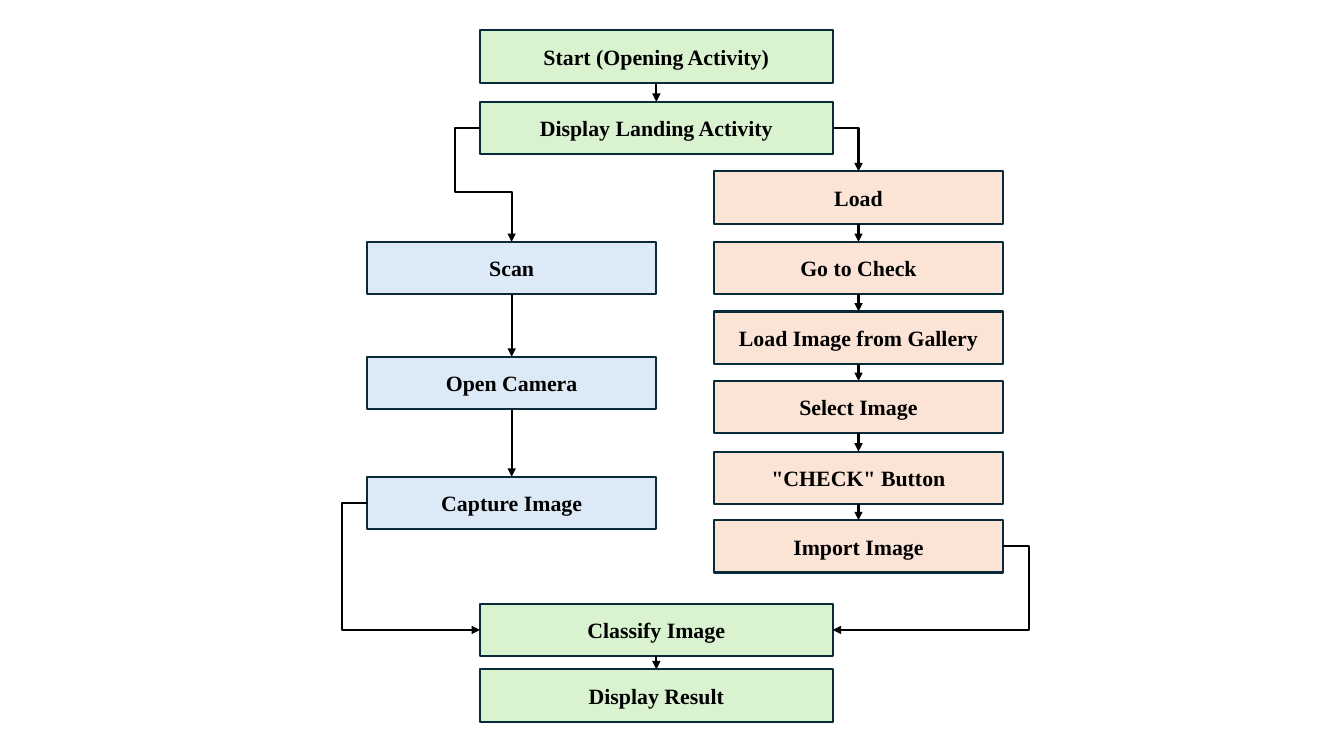
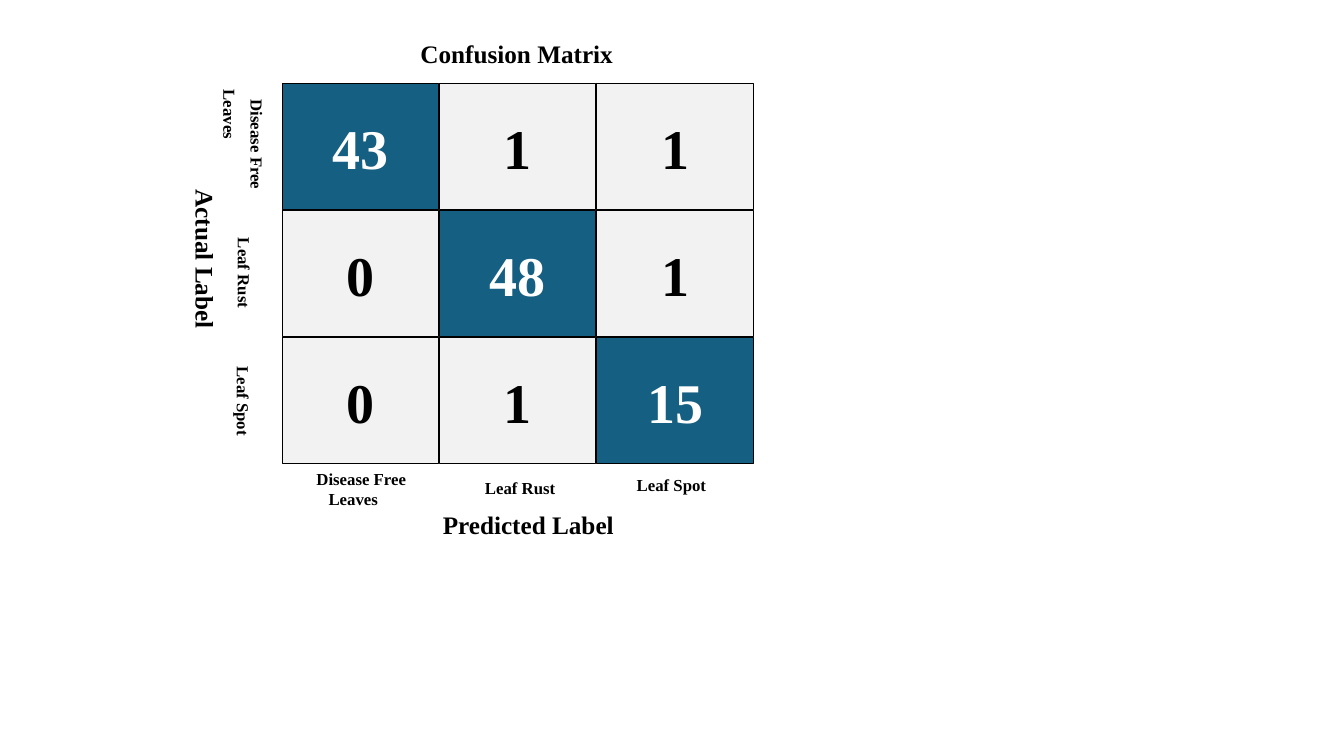
"""Build a flow chart slide and a confusion matrix slide."""
from dataclasses import dataclass
from typing import Any

import lxml.etree
import pptx
import pptx.dml.color
import pptx.enum.shapes
import pptx.enum.text
import pptx.oxml.ns
import pptx.util

Inches = pptx.util.Inches
Pt = pptx.util.Pt
RGB = pptx.dml.color.RGBColor
ALIGN = pptx.enum.text.PP_ALIGN
ANCHOR = pptx.enum.text.MSO_ANCHOR
LINK = pptx.enum.shapes.MSO_CONNECTOR
RECT = pptx.enum.shapes.MSO_SHAPE.RECTANGLE
qn = pptx.oxml.ns.qn

BLACK = RGB(0x00, 0x00, 0x00)
WHITE = RGB(0xFF, 0xFF, 0xFF)
NAVY = RGB(0x09, 0x2A, 0x39)
GREEN = RGB(0xD9, 0xF2, 0xD0)
PEACH = RGB(0xFB, 0xE3, 0xD6)
BLUE = RGB(0xDC, 0xEA, 0xF7)
TEAL = RGB(0x15, 0x60, 0x82)
GREY = RGB(0xF2, 0xF2, 0xF2)

FONT = {"name": "Times New Roman", "bold": True}
TOP, LEFT, BOTTOM, RIGHT = range(4)
STEP_H = 0.52


@dataclass(frozen=True)
class Lane:
    """A column of steps joined from top to bottom."""
    left: float
    width: float
    fill: RGB
    steps: tuple[tuple[float, str], ...]


@dataclass(frozen=True)
class Bend:
    """An elbow arrow between the sides of two steps."""
    start: str
    side: int
    end: str
    goal: int
    shape: str
    bends: tuple[float, ...] = ()


@dataclass(frozen=True)
class Label:
    """A text box, turned or level, with optional line indents."""
    text: str
    left: float
    top: float
    width: float
    height: float
    size: int = 12
    turn: int = 0
    align: Any = ALIGN.CENTER
    margin: float = 0
    indent: float = 0
    space: float = 1.0


LANES = (
    Lane(4.76, 3.5, GREEN, ((0.3, "Start (Opening Activity)"), (1.01, "Display Landing Activity"))),
    Lane(3.64, 2.87, BLUE, ((2.4, "Scan"), (3.54, "Open Camera"), (4.73, "Capture Image"))),
    Lane(7.08, 2.87, PEACH, (
        (1.7, "Load"), (2.4, "Go to Check"), (3.09, "Load Image from Gallery"),
        (3.78, "Select Image"), (4.48, '"CHECK" Button'), (5.16, "Import Image"))),
    Lane(4.76, 3.5, GREEN, ((5.99, "Classify Image"), (6.64, "Display Result"))),
)
BENDS = (
    Bend("Display Landing Activity", LEFT, "Scan", TOP, "bentConnector4", (-0.79, 0.56)),
    Bend("Display Landing Activity", RIGHT, "Load", TOP, "bentConnector2"),
    Bend("Capture Image", LEFT, "Classify Image", LEFT, "bentConnector3", (-0.22,)),
    Bend("Import Image", RIGHT, "Classify Image", RIGHT, "bentConnector3", (-0.15,)),
)
SCORES = ((43, 1, 1), (0, 48, 1), (0, 1, 15))
LABELS = (
    Label("Disease Free Leaves", 1.79, 1.2, 1.39, 0.57, turn=90, align=ALIGN.LEFT,
          indent=0.1, space=1.35),
    Label("Leaf Rust", 1.73, 2.56, 1.39, 0.3, turn=90),
    Label("Leaf Spot", 1.72, 3.83, 1.39, 0.3, turn=90),
    Label("Actual Label", 1.24, 2.37, 1.6, 0.4, 18, 90),
    Label("Disease Free Leaves", 3.04, 4.6, 1.39, 0.5, align=ALIGN.LEFT,
          margin=0.12, indent=-0.12),
    Label("Leaf Rust", 4.58, 4.69, 1.16, 0.3),
    Label("Leaf Spot", 6.08, 4.66, 1.16, 0.3),
    Label("Predicted Label", 4.28, 5, 1.92, 0.4, 18),
)
TITLE = Label("Confusion Matrix", 4.06, 0.33, 2.13, 0.4, 18)


def apply(item: Any, values: dict[str, Any]) -> None:
    """Set each named value on the item."""
    for name, value in values.items():
        setattr(item, name, value)


def write(shape: Any, text: str, size: float, color: RGB, anchor: Any) -> Any:
    """Put styled, centred text in a shape and return its paragraph."""
    frame = shape.text_frame
    apply(frame, {"text": text, "word_wrap": True, "vertical_anchor": anchor})
    para = frame.paragraphs[0]
    para.alignment = ALIGN.CENTER
    font = para.runs[0].font
    apply(font, FONT | {"size": Pt(size)})
    font.color.rgb = color
    return para


def add_box(slide: Any, at: tuple[float, ...], text: str, size: float,
            fill: RGB, ink: RGB, edge: RGB, weight: float) -> Any:
    """Draw a filled rectangle with centred text."""
    box = slide.shapes.add_shape(RECT, *map(Inches, at))
    box.shadow.inherit = False
    box.fill.solid()
    box.fill.fore_color.rgb = fill
    box.line.color.rgb = edge
    box.line.width = Pt(weight)
    write(box, text, size, ink, ANCHOR.MIDDLE)
    return box


def add_arrow(slide: Any, kind: Any, start: Any, side: int, end: Any, goal: int) -> Any:
    """Join two boxes with a black arrow."""
    arrow = slide.shapes.add_connector(kind, 0, 0, 0, 0)
    arrow.begin_connect(start, side)
    arrow.end_connect(end, goal)
    arrow.line.color.rgb = BLACK
    arrow.line.width = Pt(1.5)
    props = arrow.element.spPr
    lxml.etree.SubElement(props.find(qn("a:ln")), qn("a:tailEnd"), type="triangle")
    lxml.etree.SubElement(props, qn("a:effectLst"))
    return arrow


def add_bend(slide: Any, boxes: dict[str, Any], bend: Bend) -> None:
    """Draw an elbow arrow with its own turning points."""
    arrow = add_arrow(slide, LINK.ELBOW, boxes[bend.start], bend.side,
                      boxes[bend.end], bend.goal)
    shape = arrow.element.spPr.find(qn("a:prstGeom"))
    shape.set("prst", bend.shape)
    guides = shape.find(qn("a:avLst"))
    for count, value in enumerate(bend.bends, 1):
        lxml.etree.SubElement(guides, qn("a:gd"), name=f"adj{count}",
                              fmla=f"val {round(value * 100000)}")


def place(shape: Any, label: Label) -> None:
    """Move a text shape into place and format its text."""
    apply(shape, {name: Inches(getattr(label, name))
                  for name in ("left", "top", "width", "height")})
    shape.rotation = label.turn
    para = write(shape, label.text, label.size, BLACK, ANCHOR.TOP)
    apply(para, {"alignment": label.align, "line_spacing": label.space})
    props = para._p.get_or_add_pPr()
    props.set("marL", str(Inches(label.margin)))
    props.set("indent", str(Inches(label.indent)))


def draw_flow(slide: Any) -> None:
    """Draw the flow chart."""
    boxes: dict[str, Any] = {}
    for lane in LANES:
        chain = [add_box(slide, (lane.left, top, lane.width, STEP_H), text, 15.6,
                         lane.fill, BLACK, NAVY, 1.5) for top, text in lane.steps]
        boxes.update((text, box) for (_, text), box in zip(lane.steps, chain))
        for upper, lower in zip(chain, chain[1:]):
            add_arrow(slide, LINK.STRAIGHT, upper, BOTTOM, lower, TOP)
    for bend in BENDS:
        add_bend(slide, boxes, bend)


def draw_matrix(slide: Any) -> None:
    """Draw the confusion matrix with its labels."""
    place(slide.shapes.title, TITLE)
    for row, scores in enumerate(SCORES):
        for col, score in enumerate(scores):
            fill, ink = (TEAL, WHITE) if row == col else (GREY, BLACK)
            add_box(slide, (2.8 + 1.56 * col, 0.83 + 1.26 * row, 1.55, 1.25),
                    str(score), 40, fill, ink, BLACK, 0.75)
    for label in LABELS:
        place(slide.shapes.add_textbox(0, 0, 0, 0), label)


def main() -> None:
    """Build and save both slides."""
    deck = pptx.Presentation()
    apply(deck, {"slide_width": Inches(13.33), "slide_height": Inches(7.5)})
    draw_flow(deck.slides.add_slide(deck.slide_layouts.get_by_name("Blank")))
    draw_matrix(deck.slides.add_slide(deck.slide_layouts.get_by_name("Title Only")))
    deck.save("out.pptx")


if __name__ == "__main__":
    main()
